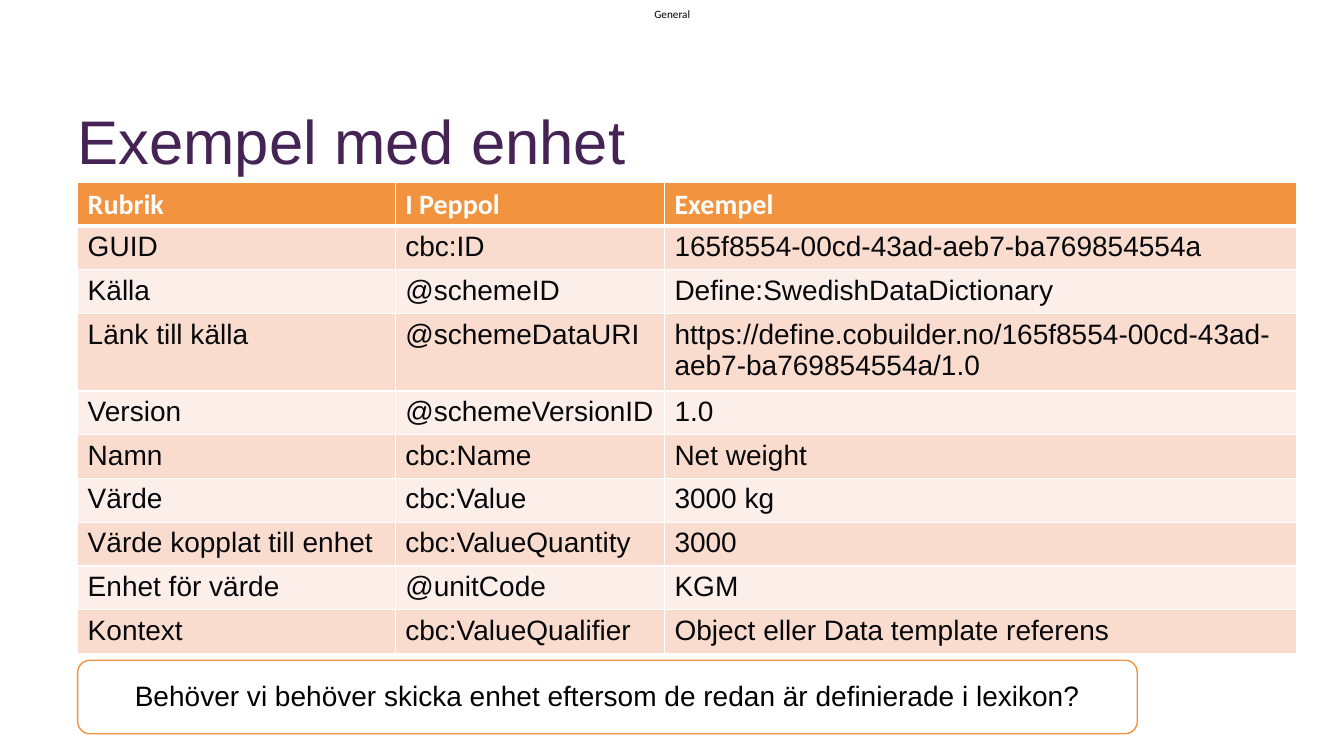
import pptx
import pptx.util
import pptx.dml.color
import pptx.enum.shapes
import pptx.enum.text
import pptx.oxml
import pptx.oxml.ns

Inches = pptx.util.Inches
Pt = pptx.util.Pt
ANCHOR = pptx.enum.text.MSO_ANCHOR
ALIGN = pptx.enum.text.PP_ALIGN
ORANGE = "F2933F"
WHITE = "FFFFFF"


def color(value):
    return pptx.dml.color.RGBColor.from_string(value)


def write(tf, text, size, font, ink, **paragraph_format):
    p = tf.paragraphs[0]
    for name, value in paragraph_format.items():
        setattr(p, name, value)
    r = p.add_run()
    r.text = text
    for name, value in {"size": Pt(size), "name": font, "bold": False}.items():
        setattr(r.font, name, value)
    r.font.color.rgb = color(ink)
    return r


prs = pptx.Presentation()
prs.slide_width, prs.slide_height = Inches(13.33), Inches(7.5)
s = prs.slides.add_slide(prs.slide_layouts[6])

# Classification label
tf = s.shapes.add_textbox(Inches(6.49), Inches(0.07), Inches(0.38), Inches(0.13)).text_frame
for side in ("left", "top", "right", "bottom"):
    setattr(tf, f"margin_{side}", 0)
tf.word_wrap = False
tf.auto_size = pptx.enum.text.MSO_AUTO_SIZE.SHAPE_TO_FIT_TEXT
write(tf, "General", 8, "Calibri", "000000")

# Title
tf = s.shapes.add_textbox(Inches(0.67), Inches(0.29), Inches(9.11), Inches(1.52)).text_frame
tf.word_wrap = True
tf.vertical_anchor = ANCHOR.BOTTOM
write(tf, "Exempel med enhet", 44, "Arial", "452455", line_spacing=0.9)

# Table of fields
rows = [
    ("Rubrik", "I Peppol", "Exempel"),
    ("GUID", "cbc:ID", "165f8554-00cd-43ad-aeb7-ba769854554a"),
    ("Källa", "@schemeID", "Define:SwedishDataDictionary"),
    ("Länk till källa", "@schemeDataURI",
     "https://define.cobuilder.no/165f8554-00cd-43ad-aeb7-ba769854554a/1.0"),
    ("Version", "@schemeVersionID", "1.0"),
    ("Namn", "cbc:Name", "Net weight"),
    ("Värde", "cbc:Value", "3000 kg"),
    ("Värde kopplat till enhet", "cbc:ValueQuantity", "3000"),
    ("Enhet för värde", "@unitCode", "KGM"),
    ("Kontext", "cbc:ValueQualifier", "Object eller Data template referens"),
]
frame = s.shapes.add_table(len(rows), 3, Inches(0.77), Inches(1.81), Inches(12.09), Inches(4.67))
table = frame.table
for column, width in zip(table.columns, (3.15, 2.67, 6.27)):
    column.width = Inches(width)
for row in table.rows:
    row.height = Inches(0.41)
frame.height = Inches(4.67)

for i, row in enumerate(rows):
    header = i == 0
    fill = ORANGE if header else ("FADCCF" if i % 2 else "FCEEE8")
    for j, text in enumerate(row):
        cell = table.cell(i, j)
        r = write(cell.text_frame, text, 20, "Calibri" if header else "Arial",
                  WHITE if header else "07080B")
        r.font.bold = header
        # White borders, thicker between header and body
        borders = {"lnL": 1, "lnR": 1, "lnT": 3 if i == 1 else 1, "lnB": 3 if header else 1}
        for tag, points in borders.items():
            cell._tc.get_or_add_tcPr().append(pptx.oxml.parse_xml(
                f'<a:{tag} {pptx.oxml.ns.nsdecls("a")} w="{Pt(points)}"><a:solidFill>'
                f'<a:srgbClr val="{WHITE}"/></a:solidFill></a:{tag}>'))
        cell.fill.solid()
        cell.fill.fore_color.rgb = color(fill)

# Question box
sp = s.shapes.add_shape(pptx.enum.shapes.MSO_SHAPE.ROUNDED_RECTANGLE,
                        Inches(0.77), Inches(6.55), Inches(10.51), Inches(0.73))
sp.shadow.inherit = False
sp.fill.solid()
sp.fill.fore_color.rgb = color(WHITE)
sp.line.color.rgb = color(ORANGE)
sp.line.width = Pt(1)
tf = sp.text_frame
tf.word_wrap = True
tf.vertical_anchor = ANCHOR.MIDDLE
write(tf, "Behöver vi behöver skicka enhet eftersom de redan är definierade i lexikon?",
      20, "Arial", "000000", alignment=ALIGN.CENTER, line_spacing=0.9)

prs.save("out.pptx")
